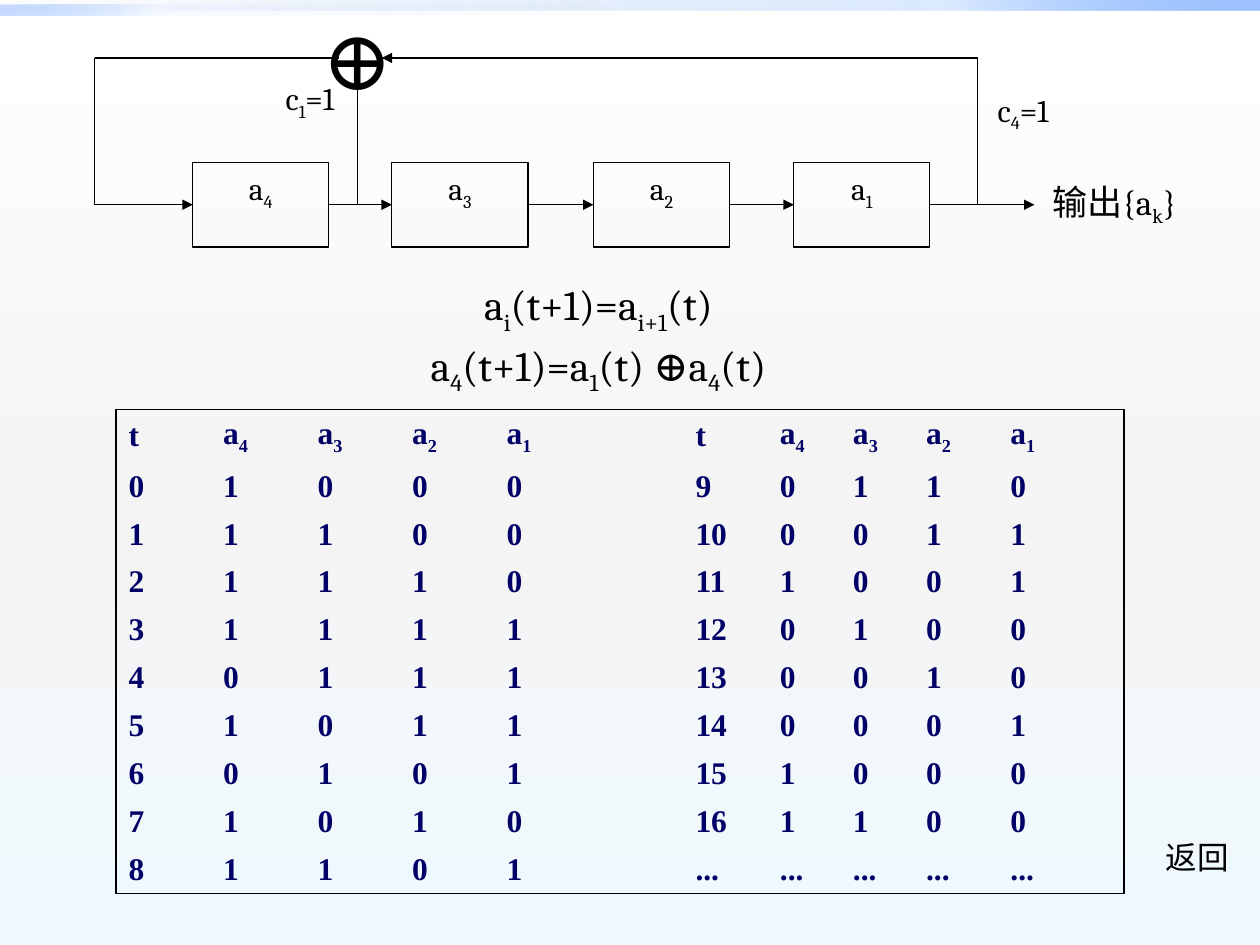
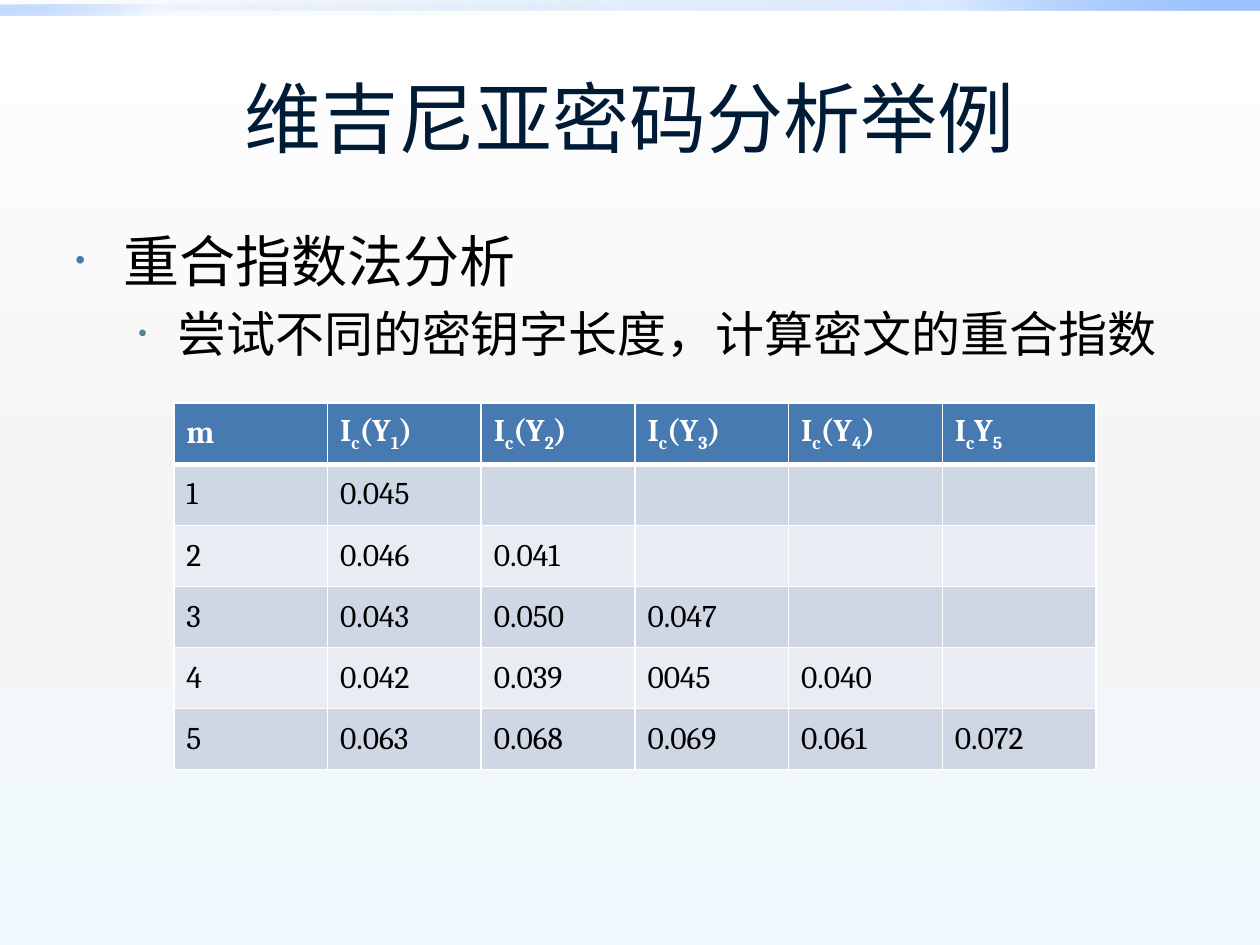
import pptx
import pptx.dml.color
import pptx.enum.shapes
import pptx.enum.text
import pptx.oxml.ns
import pptx.util
from lxml import etree

Inches = pptx.util.Inches
Pt = pptx.util.Pt
qn = pptx.oxml.ns.qn
ALIGN = pptx.enum.text.PP_ALIGN
ANCHOR = pptx.enum.text.MSO_ANCHOR
SHAPES = pptx.enum.shapes.MSO_SHAPE

COLORS = {
    "ink": "000000", "white": "FFFFFF", "title": "001B36", "navy": "000066",
    "page_mid": "F4F4F4", "page_low": "EEF9FF",
    "band_deep": "0058B7", "band_blue": "4F95FF", "band_pale": "9EC2FF",
    "header": "477AB1", "bullet_sub": "51848E",
    "row_dark": "CFD7E4", "row_light": "E9ECF2",
}
NO_GRID_STYLE = "{2D5ABB26-0587-4C30-8999-92F81FD0307C}"


def rgb(name):
    return pptx.dml.color.RGBColor.from_string(COLORS[name])


def add(parent, tag, **attributes):
    return etree.SubElement(parent, qn(tag), {k: str(v) for k, v in attributes.items()})


def gradient(fill, element, stops, angle):
    """Fill with (position %, colour, opacity %) stops."""
    fill.gradient()
    fill.gradient_angle = angle
    stop_list = element.find(".//" + qn("a:gsLst"))
    for stop in list(stop_list):
        stop_list.remove(stop)
    for position, color, opacity in stops:
        stop = add(stop_list, "a:gs", pos=position * 1000)
        add(add(stop, "a:srgbClr", val=COLORS[color]), "a:alpha", val=opacity * 1000)


class Deck:
    font = "Cambria"
    size = 18

    def __init__(self):
        self.prs = pptx.Presentation()
        self.prs.slide_width, self.prs.slide_height = Inches(10), Inches(7.5)
        self.slide = None
        master = self.prs.slide_master
        gradient(master.background.fill, master.element.find(".//" + qn("p:bg")),
                 [(0, "white", 100), (55, "page_mid", 100), (100, "page_low", 100)], 270)

    def new_slide(self):
        self.slide = self.prs.slides.add_slide(self.prs.slide_layouts[6])
        self.band((0, 0, 10, 0.08), 45, (0, 20, 100))
        self.band((0, 0.04, 5, 0.08), 225, (0, 5, 60))

    def band(self, at, angle, opacities):
        band = self.rect(at)
        band.line.fill.background()
        stops = zip((0, 75, 100), ("band_deep", "band_blue", "band_pale"), opacities)
        gradient(band.fill, band.element, stops, angle)

    def rect(self, at):
        rect = self.slide.shapes.add_shape(SHAPES.RECTANGLE, *map(Inches, at))
        rect.shadow.inherit = False
        rect.fill.background()
        rect.line.color.rgb = rgb("ink")
        rect.line.width = Pt(0.75)
        return rect

    def add_runs(self, paragraph, text, size=None, color="ink", font=None, bold=False):
        """Add runs; every second part between ~ marks is a subscript."""
        for index, part in enumerate(text.split("~")):
            if not part:
                continue
            run = paragraph.add_run()
            run.text = part
            run.font.name = font or self.font
            run.font.size = Pt(size or self.size)
            run.font.bold = bold
            run.font.color.rgb = rgb(color)
            if index % 2:
                run.font._element.set("baseline", "-25000")

    def text(self, at, lines, align=ALIGN.CENTER, anchor=ANCHOR.TOP, side=0.1,
             before=0, spacing=None, **style):
        box = self.slide.shapes.add_textbox(*map(Inches, at))
        frame = box.text_frame
        frame.word_wrap = True
        frame.vertical_anchor = anchor
        frame.margin_left = frame.margin_right = Inches(side)
        for index, line in enumerate(lines):
            paragraph = frame.paragraphs[0] if index == 0 else frame.add_paragraph()
            paragraph.alignment = align
            paragraph.line_spacing = spacing
            if index:
                paragraph.space_before = Pt(before)
            self.add_runs(paragraph, line, **style)
        return frame

    def bullets(self, at, items):
        """Items are (text, size, level, left indent, hanging, bullet colour)."""
        frame = self.text(at, [])
        for index, (line, size, level, left, hanging, color) in enumerate(items):
            paragraph = frame.paragraphs[0] if index == 0 else frame.add_paragraph()
            paragraph.level = level
            if index:
                paragraph.space_before = Pt(size * 0.2)
            properties = paragraph._p.get_or_add_pPr()
            properties.set("marL", str(Inches(left)))
            properties.set("indent", str(-Inches(hanging)))
            add(add(properties, "a:buClr"), "a:srgbClr", val=COLORS[color])
            add(properties, "a:buSzPct", val=50000)
            add(properties, "a:buFont", typeface="Arial")
            add(properties, "a:buChar", char="•")
            self.add_runs(paragraph, line, size=size)

    def register(self, at, label):
        register = self.rect(at)
        register.text_frame.vertical_anchor = ANCHOR.TOP
        paragraph = register.text_frame.paragraphs[0]
        paragraph.alignment = ALIGN.CENTER
        self.add_runs(paragraph, label)
        return register

    def wire(self, start, end, arrow=True):
        """Each end is an (x, y) point or a (shape, side) joint."""
        joints = [not isinstance(tip[0], (int, float)) for tip in (start, end)]
        points = [(0, 0) if joint else tuple(map(Inches, tip))
                  for joint, tip in zip(joints, (start, end))]
        wire = self.slide.shapes.add_connector(
            pptx.enum.shapes.MSO_CONNECTOR.STRAIGHT, *points[0], *points[1])
        if joints[0]:
            wire.begin_connect(*start)
        if joints[1]:
            wire.end_connect(*end)
        wire.line.color.rgb = rgb("ink")
        wire.line.width = Pt(0.75)
        if arrow:
            add(wire.line._get_or_add_ln(), "a:tailEnd", type="triangle")
        add(wire._element.spPr, "a:effectLst")

    def table(self, at, widths, heights, rows, look):
        """look(row, column) gives the text style, fill and borders of a cell."""
        frame = self.slide.shapes.add_table(len(rows), len(widths), *map(Inches, at))
        table = frame.table
        table.first_row = table.horz_banding = False
        table._tbl.find(".//" + qn("a:tableStyleId")).text = NO_GRID_STYLE
        for column, width in zip(table.columns, widths):
            column.width = Inches(width)
        for r, (row, height) in enumerate(zip(rows, heights)):
            table.rows[r].height = Inches(height)
            for c, value in enumerate(row):
                cell = table.cell(r, c)
                style, fill, borders = look(r, c)
                cell.vertical_anchor = ANCHOR.MIDDLE
                cell.margin_top = cell.margin_bottom = Inches(0.04)
                for side in "LRTB":
                    if side in borders:
                        self.border(cell, side, *borders[side])
                if fill:
                    cell.fill.solid()
                    cell.fill.fore_color.rgb = rgb(fill)
                else:
                    cell.fill.background()
                self.add_runs(cell.text_frame.paragraphs[0], value, **style)

    def border(self, cell, side, color, width):
        line = add(cell._tc.get_or_add_tcPr(), "a:ln" + side, w=Pt(width))
        add(add(line, "a:solidFill"), "a:srgbClr", val=COLORS[color])


def shift_register_slide(deck):
    deck.new_slide()

    # Recurrence formulas
    deck.text((0.5, 2.17, 8.5, 0.92),
              ["a~i~(t+1)=a~i+1~(t)", "a~4~(t+1)=a~1~(t) ⊕a~4~(t)"],
              size=24, before=5, spacing=0.9)

    # State table: two halves side by side
    header = ["t", "a~4~", "a~3~", "a~2~", "a~1~"]
    states = ["1000", "1100", "1110", "1111", "0111", "1011", "0101", "1010", "1101",
              "0110", "0011", "1001", "0100", "0010", "0001", "1000", "1100"]
    steps = [[str(t), *bits] for t, bits in enumerate(states)] + [["..."] * 5]
    rows = [header * 2] + [left + right for left, right in zip(steps[:9], steps[9:])]
    widths = [0.75] * 4 + [1.5, 0.67, 0.58, 0.58, 0.67, 1]

    def state_look(r, c):
        edges = {"L": c == 0, "R": c == len(widths) - 1,
                 "T": r == 0, "B": r == len(rows) - 1}
        style = {"font": "Times New Roman", "color": "navy", "bold": True}
        return style, None, {side: ("ink", 1) for side, on in edges.items() if on}

    deck.table((0.92, 3.25, 8, 3.81), widths, [0.42] + [(3.81 - 0.42) / 9] * 9,
               rows, state_look)

    # Registers and the wires between them
    top, width, height = 1.29, 1.08, 0.67
    axis = top + height / 2
    registers = [deck.register((left, top, width, height), label)
                 for left, label in zip((1.53, 3.11, 4.71, 6.3), header[1:])]
    for source, target in zip(registers, registers[1:]):
        deck.wire((source, 3), (target, 1))
    deck.wire((registers[-1], 3), (8.21, axis))

    # Feedback loop
    loop_top, loop_left, loop_right, adder = 0.46, 0.75, 7.76, 2.84
    deck.text((2.3, 0, 1.08, 1.33), ["⊕"], size=48)
    deck.wire((adder, axis), (adder, 0.62))
    deck.wire((loop_right, axis), (loop_right, loop_top), arrow=False)
    deck.wire((loop_right, loop_top), (3.03, loop_top))
    deck.wire((2.69, loop_top), (loop_left, loop_top), arrow=False)
    deck.wire((loop_left, loop_top), (loop_left, axis), arrow=False)
    deck.wire((loop_left, axis), (registers[0], 1))

    # Labels
    deck.text((8.19, 1.38, 1.31, 0.42), ["输出{a~k~}"], size=20, side=0)
    deck.text((7.58, 0.67, 1.08, 0.67), ["c~4~=1"])
    deck.text((1.92, 0.58, 1.08, 0.67), ["c~1~=1"])
    deck.text((9.25, 6.6, 0.75, 0.5), ["返回"], align=ALIGN.LEFT, side=0)


def coincidence_slide(deck):
    deck.new_slide()

    # Title and points
    deck.text((0.5, 0.3, 9, 1.25), ["维吉尼亚密码分析举例"], anchor=ANCHOR.MIDDLE,
              size=44, color="title", font="Calibri")
    deck.bullets((0.5, 1.75, 9, 4.95), [
        ("重合指数法分析", 32, 0, 0.38, 0.38, "header"),
        ("尝试不同的密钥字长度，计算密文的重合指数", 28, 1, 0.81, 0.31, "bullet_sub"),
    ])

    # Index of coincidence for each key length
    header = ["m"] + [f"I~c~(Y~{i}~)" for i in range(1, 5)] + ["I~c~Y~5~"]
    indices = [
        ["0.045"],
        ["0.046", "0.041"],
        ["0.043", "0.050", "0.047"],
        ["0.042", "0.039", "0045", "0.040"],
        ["0.063", "0.068", "0.069", "0.061", "0.072"],
    ]
    rows = [header] + [[str(m), *values] + [""] * (5 - m)
                       for m, values in enumerate(indices, 1)]

    def index_look(r, c):
        borders = {side: ("white", 1) for side in "LRTB"}
        if r == 0:
            borders["B"] = ("white", 3)
            return {"color": "white", "bold": True}, "header", borders
        if r == 1:
            borders["T"] = ("white", 3)
        return {}, "row_dark" if r % 2 else "row_light", borders

    deck.table((1.38, 3.2, 7.32, 2.91), [1.22] * 6, [2.91 / 6] * 6, rows, index_look)


def main():
    deck = Deck()
    shift_register_slide(deck)
    coincidence_slide(deck)
    deck.prs.save("out.pptx")


if __name__ == "__main__":
    main()
